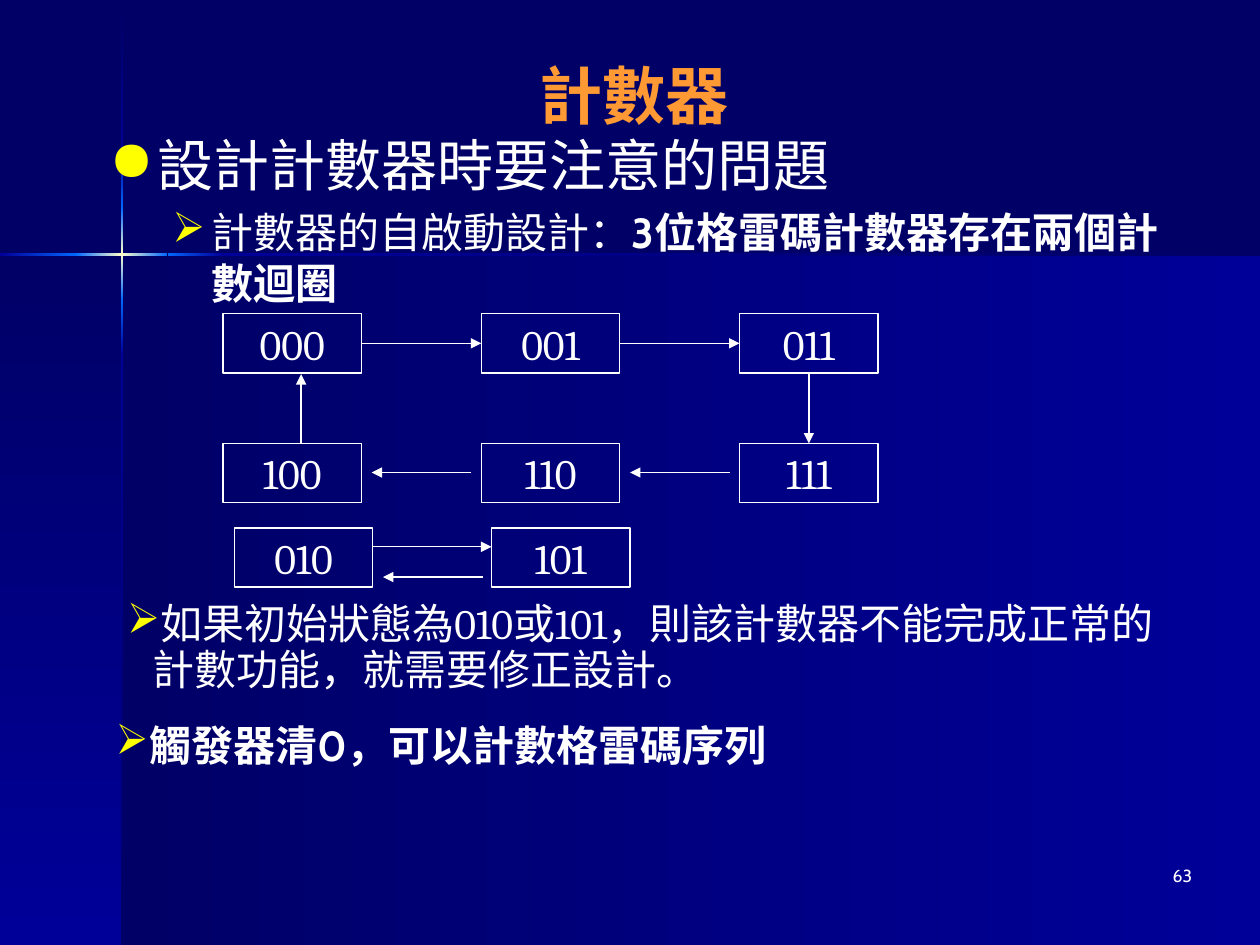
"""Build the counter slide about Gray code self-starting design."""
from copy import deepcopy

from lxml.etree import SubElement
from pptx import Presentation
from pptx.dml.color import RGBColor
from pptx.enum.shapes import MSO_CONNECTOR as Connector, MSO_SHAPE as Shape
from pptx.enum.text import MSO_ANCHOR as Anchor, PP_ALIGN as Align
from pptx.oxml.ns import qn
from pptx.util import Inches, Pt

NAVY, BLUE, BRIGHT, CREAM = "000066", "000099", "0066FF", "FFFFCC"
WHITE, YELLOW, ORANGE = "FFFFFF", "FFFF00", "FF9933"
TOP, LEFT, BOTTOM, RIGHT = range(4)


def color(value):
    return RGBColor.from_string(value)


def add_text(paragraph, text, size=24, font="Cabin", fill=WHITE, bold=False, align=None):
    run = paragraph.add_run()
    run.text = text
    run.font.size = Pt(size)
    run.font.name = font
    run.font.bold = bold
    run.font.color.rgb = color(fill)
    if align is not None:
        paragraph.alignment = align


def add_bullet(paragraph, symbol, margin, indent, level=0):
    paragraph.level = level
    properties = paragraph._p.get_or_add_pPr()
    properties.set("marL", str(Inches(margin)))
    properties.set("indent", str(Inches(indent)))
    bullet_color = SubElement(properties, qn("a:buClr"))
    SubElement(bullet_color, qn("a:srgbClr")).set("val", YELLOW)
    SubElement(properties, qn("a:buChar")).set("char", symbol)


class SlideBuilder:
    def __init__(self, presentation):
        self.slide = presentation.slides.add_slide(presentation.slide_layouts[5])
        self.slide.background.fill.solid()
        self.slide.background.fill.fore_color.rgb = color(NAVY)

    def title(self, text, left, top, width, height):
        title = self.slide.shapes.title
        title.left, title.top = Inches(left), Inches(top)
        title.width, title.height = Inches(width), Inches(height)
        title.text_frame.vertical_anchor = Anchor.MIDDLE
        add_text(title.text_frame.paragraphs[0], text, size=36, fill=ORANGE,
                 bold=True, align=Align.CENTER)

    def gradient(self, left, top, width, height, colors, vertical=False):
        shape = self.slide.shapes.add_shape(
            Shape.RECTANGLE, Inches(left), Inches(top), Inches(width), Inches(height))
        shape.shadow.inherit = False
        shape.line.fill.background()
        shape.fill.gradient()
        shape.fill.gradient_angle = 270 if vertical else 0
        stop_list = shape._element.spPr.find(".//" + qn("a:gsLst"))
        for _ in colors[2:]:
            stop_list.append(deepcopy(stop_list[0]))
        for index, (stop, value) in enumerate(zip(shape.fill.gradient_stops, colors)):
            stop.position = index / (len(colors) - 1)
            stop.color.rgb = color(value)

    def text_box(self, left, top, width, height, wrap=True):
        box = self.slide.shapes.add_textbox(
            Inches(left), Inches(top), Inches(width), Inches(height))
        box.text_frame.word_wrap = wrap
        return box.text_frame

    def state(self, text, left, top):
        shape = self.slide.shapes.add_shape(
            Shape.RECTANGLE, Inches(left), Inches(top), Inches(1.1), Inches(0.47))
        shape.shadow.inherit = False
        shape.fill.background()
        shape.line.color.rgb = color(WHITE)
        shape.line.width = Pt(0.75)
        shape.text_frame.word_wrap = False
        shape.text_frame.vertical_anchor = Anchor.MIDDLE
        add_text(shape.text_frame.paragraphs[0], text, font="Cambria", align=Align.CENTER)
        return shape

    def arrow(self, start_x=0, start_y=0, end_x=0, end_y=0):
        connector = self.slide.shapes.add_connector(
            Connector.STRAIGHT, Inches(start_x), Inches(start_y), Inches(end_x), Inches(end_y))
        connector.line.color.rgb = color(WHITE)
        connector.line.width = Pt(0.75)
        SubElement(connector.line._get_or_add_ln(), qn("a:tailEnd")).set("type", "triangle")
        SubElement(connector._element.spPr, qn("a:effectLst"))
        return connector

    def join(self, start, start_side, end, end_side):
        connector = self.arrow()
        connector.begin_connect(start, start_side)
        connector.end_connect(end, end_side)


def draw_background(builder):
    builder.gradient(0.97, 2.02, 9.03, 5.48, [NAVY, BLUE])
    builder.gradient(0, 2.02, 0.97, 5.48, [NAVY, BLUE], vertical=True)
    for top, height, colors in [
        (0.01, 1.2, [NAVY, BLUE]),
        (2.82, 4.68, [BLUE, NAVY]),
        (2.38, 0.44, [BRIGHT, BLUE]),
        (1.21, 0.44, [BLUE, BRIGHT]),
        (1.65, 0.73, [BRIGHT, CREAM, BRIGHT]),
    ]:
        builder.gradient(0.96, top, 0.02, height, colors, vertical=True)
    for left, width, colors in [
        (1.77, 8.23, [BLUE, NAVY]),
        (0, 0.61, [BLUE, BRIGHT]),
        (1.33, 0.44, [BRIGHT, BLUE]),
        (0.6, 0.73, [BRIGHT, CREAM, BRIGHT]),
    ]:
        builder.gradient(left, 2.01, width, 0.02, colors)


def draw_counting_loops(builder):
    states = {}
    for row, codes in enumerate([("000", "001", "011"), ("100", "110", "111")]):
        for column, code in enumerate(codes):
            states[code] = builder.state(code, 1.77 + 2.05 * column, 2.49 + 1.03 * row)
    builder.join(states["000"], RIGHT, states["001"], LEFT)
    builder.join(states["001"], RIGHT, states["011"], LEFT)
    builder.join(states["011"], BOTTOM, states["111"], TOP)
    for start_x in (5.79, 3.74):
        builder.arrow(start_x, 3.75, start_x - 0.79, 3.75)
    builder.arrow(2.39, 3.52, 2.39, 2.97)

    builder.state("010", 1.86, 4.19)
    builder.state("101", 3.9, 4.19)
    builder.arrow(2.96, 4.34, 3.9, 4.34)
    builder.arrow(3.83, 4.58, 3.04, 4.58)


def draw_text(builder):
    builder.title("計數器 ", 0.5, 0.33, 9.17, 0.83)
    body = builder.text_box(0.77, 0.99, 8.67, 5.08)
    heading = body.paragraphs[0]
    add_bullet(heading, "●", 0.38, -0.38)
    add_text(heading, "設計計數器時要注意的問題", size=32)
    detail = body.add_paragraph()
    add_bullet(detail, "➢", 0.81, -0.31, level=1)
    detail.space_before = Pt(5)
    add_text(detail, "計數器的自啟動設計：")
    add_text(detail, "3位格雷碼計數器存在兩個計數迴圈", bold=True)

    warning = builder.text_box(0.61, 4.74, 8.92, 0.83).paragraphs[0]
    add_bullet(warning, "➢", 0.5, -0.2, level=1)
    warning.line_spacing = 0.9
    add_text(warning, "如果初始狀態為010或101，則該計數器不能完成正常的計數功能，就需要修正設計。",
             font="Cambria")
    remedy = builder.text_box(0.52, 5.66, 5.87, 0.5, wrap=False).paragraphs[0]
    add_bullet(remedy, "➢", 0.5, -0.2, level=1)
    add_text(remedy, "觸發器清0，可以計數格雷碼序列", bold=True)
    number = builder.text_box(7.48, 6.82, 2.08, 0.5).paragraphs[0]
    add_text(number, "63", size=10, align=Align.RIGHT)


def main():
    presentation = Presentation()
    presentation.slide_width, presentation.slide_height = Inches(10), Inches(7.5)
    builder = SlideBuilder(presentation)
    draw_background(builder)
    draw_text(builder)
    draw_counting_loops(builder)
    presentation.save("out.pptx")


if __name__ == "__main__":
    main()
